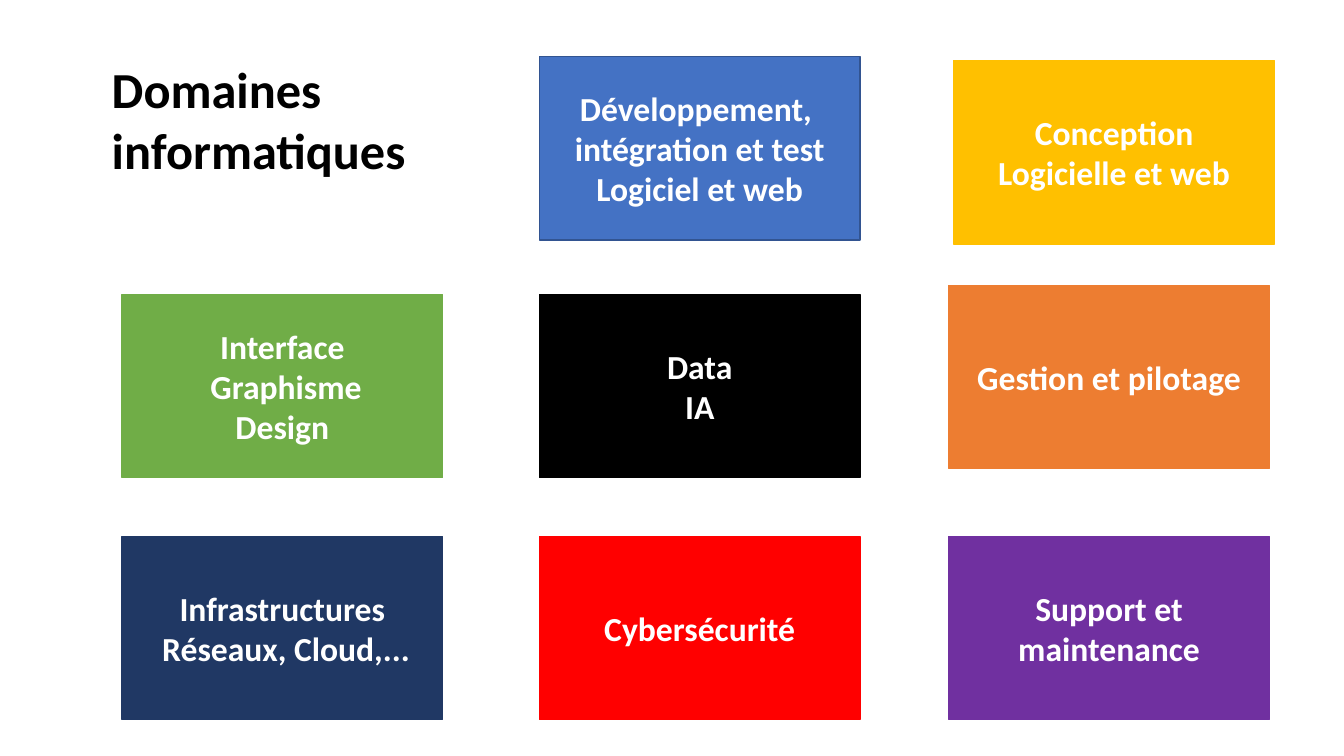
from pptx import Presentation
from pptx.dml.color import RGBColor
from pptx.enum.shapes import MSO_SHAPE
from pptx.enum.text import MSO_ANCHOR, MSO_AUTO_SIZE, PP_ALIGN
from pptx.util import Inches, Pt

RECTANGLE = MSO_SHAPE.RECTANGLE
MIDDLE = MSO_ANCHOR.MIDDLE
CENTER = PP_ALIGN.CENTER
GROW = MSO_AUTO_SIZE.SHAPE_TO_FIT_TEXT

FONT = "Calibri"
WHITE, BLACK = "FFFFFF", "000000"
CARD_WIDTH, CARD_HEIGHT = 3.18, 1.82
LEFT, CENTRE, RIGHT = 1.21, 5.35, 9.41
TOP, MIDDLE_ROW, BOTTOM = 0.56, 2.92, 5.32

# left, top, fill, line, paragraphs
DOMAINS = [
    (CENTRE, TOP, "4472C4", "325491",
     ["Développement, ", "intégration et test", "Logiciel et web"]),
    (9.46, 0.6, "FFC000", "FFC000", ["Conception", "Logicielle et web"]),
    (LEFT, MIDDLE_ROW, "70AD47", "70AD47", ["Interface", " Graphisme", "Design"]),
    (CENTRE, MIDDLE_ROW, BLACK, BLACK, ["Data\nIA"]),
    (RIGHT, 2.83, "ED7D31", "ED7D31", ["Gestion et pilotage"]),
    (LEFT, BOTTOM, "203864", "203864", ["Infrastructures", " Réseaux, Cloud,..."]),
    (CENTRE, BOTTOM, "FF0000", "FF0000", ["Cybersécurité"]),
    (RIGHT, BOTTOM, "7030A0", "7030A0", ["Support et maintenance"]),
]


def color(value):
    return RGBColor.from_string(value)


def add_text(paragraph, text, size, text_color):
    """Add bold text; a newline becomes a line break."""
    for index, line in enumerate(text.split("\n")):
        if index:
            paragraph.add_line_break()
        run = paragraph.add_run()
        run.text = line
        run.font.name = FONT
        run.font.size = Pt(size)
        run.font.bold = True
        run.font.color.rgb = color(text_color)


def add_title(slide, text):
    box = slide.shapes.add_textbox(Inches(1.01), Inches(0.53), Inches(4.75), Inches(1.31))
    frame = box.text_frame
    frame.word_wrap = True
    frame.auto_size = GROW
    add_text(frame.paragraphs[0], text, 36, BLACK)


def add_card(slide, left, top, fill, line, texts):
    shape = slide.shapes.add_shape(
        RECTANGLE, Inches(left), Inches(top), Inches(CARD_WIDTH), Inches(CARD_HEIGHT))
    shape.shadow.inherit = False
    shape.fill.solid()
    shape.fill.fore_color.rgb = color(fill)
    shape.line.color.rgb = color(line)
    shape.line.width = Pt(1)
    frame = shape.text_frame
    frame.word_wrap = True
    frame.vertical_anchor = MIDDLE
    for index, text in enumerate(texts):
        paragraph = frame.add_paragraph() if index else frame.paragraphs[0]
        paragraph.alignment = CENTER
        add_text(paragraph, text, 24, WHITE)


def main():
    presentation = Presentation()
    presentation.slide_width = Inches(13.33)
    presentation.slide_height = Inches(7.5)
    slide = presentation.slides.add_slide(presentation.slide_layouts[6])
    for domain in DOMAINS:
        add_card(slide, *domain)
    add_title(slide, "Domaines informatiques")
    presentation.save("out.pptx")


if __name__ == "__main__":
    main()
